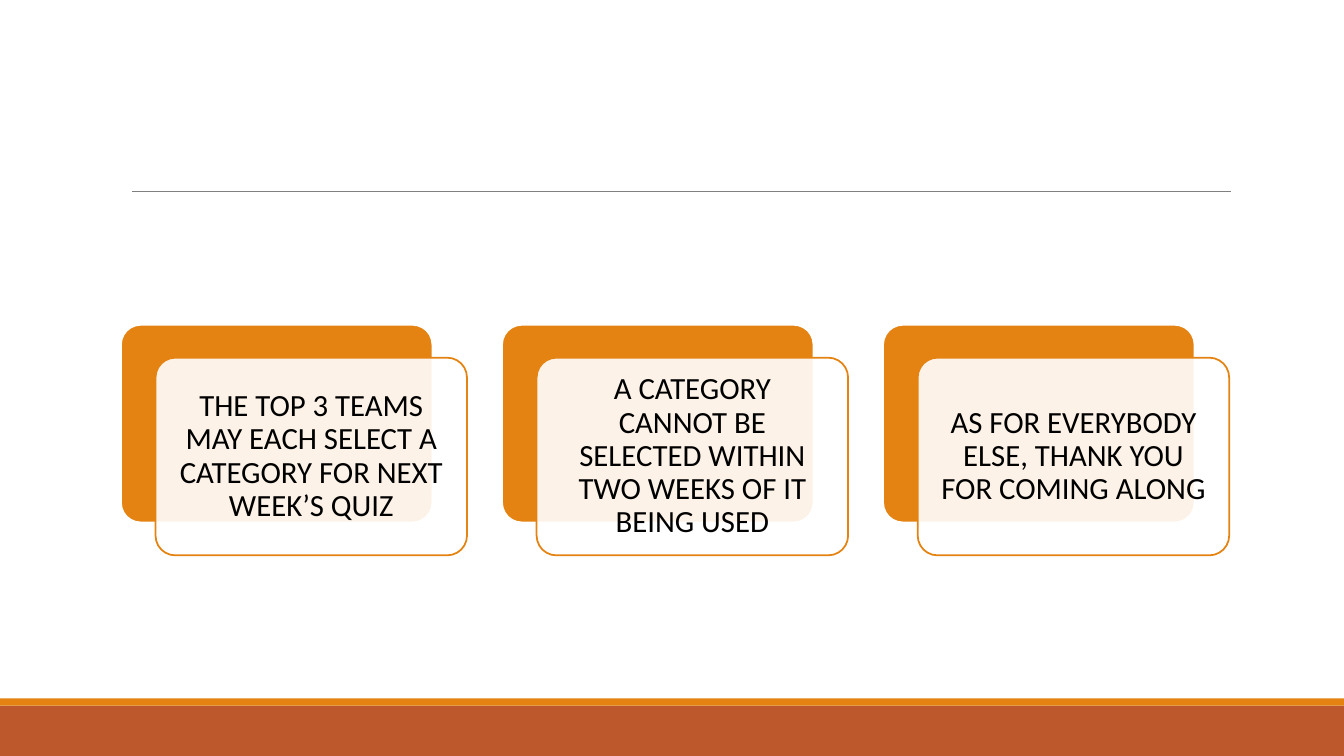
"""Build a slide of three quiz rules on layered cards above a two-tone footer."""
import pptx
import pptx.util
import pptx.dml.color
import pptx.enum.shapes
import pptx.enum.text
import pptx.oxml.ns
import pptx.oxml.xmlchemy

Pt = pptx.util.Pt
SHAPES = pptx.enum.shapes.MSO_SHAPE


def color(value):
    return pptx.dml.color.RGBColor.from_string(value)


def assign(target, values):
    for name, value in values.items():
        setattr(target, name, value)


class Painter:
    """Hold the style and the current page, and draw each kind of element."""

    orange, rust, gray, white, black = "E48312", "BD582C", "808080", "FFFFFF", "000000"
    font = {"name": "Calibri", "size": Pt(22)}
    frame = {
        "word_wrap": True,
        "vertical_anchor": pptx.enum.text.MSO_ANCHOR.MIDDLE,
        **{f"margin_{side}": Pt(10.4) for side in ("left", "top", "right", "bottom")},
    }
    paragraph = {"alignment": pptx.enum.text.PP_ALIGN.CENTER, "line_spacing": 0.9}

    def __init__(self, page):
        self.page = page

    def shape(self, kind, bounds, fill, line=None):
        box = self.page.shapes.add_shape(kind, *map(Pt, bounds))
        box.shadow.inherit = False
        box.fill.solid()
        box.fill.fore_color.rgb = color(fill)
        if line:
            box.line.color.rgb = color(line)
            box.line.width = Pt(1.25)
        else:
            box.line.fill.background()
        return box

    def band(self, top, height, fill):
        self.shape(SHAPES.RECTANGLE, (0, top, 960, height), fill)

    def rule(self, left, right, top):
        line = self.page.shapes.add_connector(
            pptx.enum.shapes.MSO_CONNECTOR.STRAIGHT, *map(Pt, (left, top, right, top)))
        line.line.color.rgb = color(self.gray)
        line.line.width = Pt(0.5)
        properties = line._element.spPr
        properties.append(pptx.oxml.xmlchemy.OxmlElement("a:effectLst"))

    def panel(self, bounds, fill, line):
        box = self.shape(SHAPES.ROUNDED_RECTANGLE, bounds, fill, line)
        box.adjustments[0] = 0.1
        return box

    def card(self, left, top, text):
        size = (222.5, 141.2)
        self.panel((left, top, *size), self.orange, self.white)
        front = self.panel((left + 24.7, top + 23.5, *size), self.white, self.orange)
        fill = front._element.spPr.find(pptx.oxml.ns.qn("a:solidFill"))
        alpha = pptx.oxml.xmlchemy.OxmlElement("a:alpha")
        alpha.set("val", "90000")
        fill[0].append(alpha)
        assign(front.text_frame, self.frame)
        para = front.text_frame.paragraphs[0]
        assign(para, self.paragraph)
        span = para.add_run()
        span.text = text
        assign(span.font, self.font)
        span.font.color.rgb = color(self.black)


RULES = (
    "THE TOP 3 TEAMS MAY EACH SELECT A CATEGORY FOR NEXT WEEK’S QUIZ",
    "A CATEGORY CANNOT BE SELECTED WITHIN TWO WEEKS OF IT BEING USED",
    "AS FOR EVERYBODY ELSE, THANK YOU FOR COMING ALONG",
)

deck = pptx.Presentation()
assign(deck, {"slide_width": Pt(960), "slide_height": Pt(540)})
painter = Painter(deck.slides.add_slide(deck.slide_layouts[6]))
painter.band(504, 36, painter.rust)
painter.band(498.8, 5.2, painter.orange)
painter.rule(94.3, 879, 136.8)
for index, text in enumerate(RULES):
    painter.card(86.4 + index * 272.2, 232, text)
deck.save("out.pptx")
